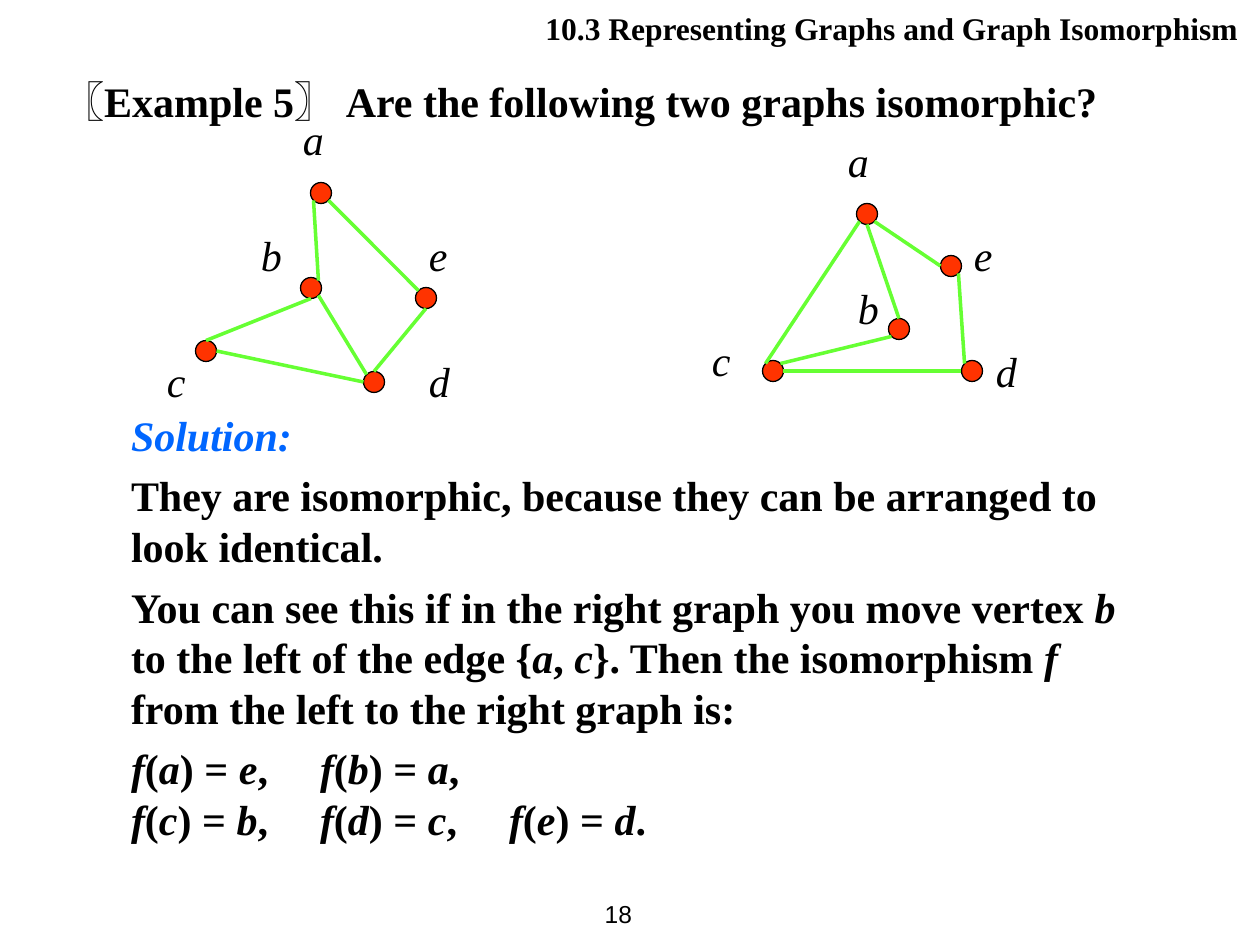
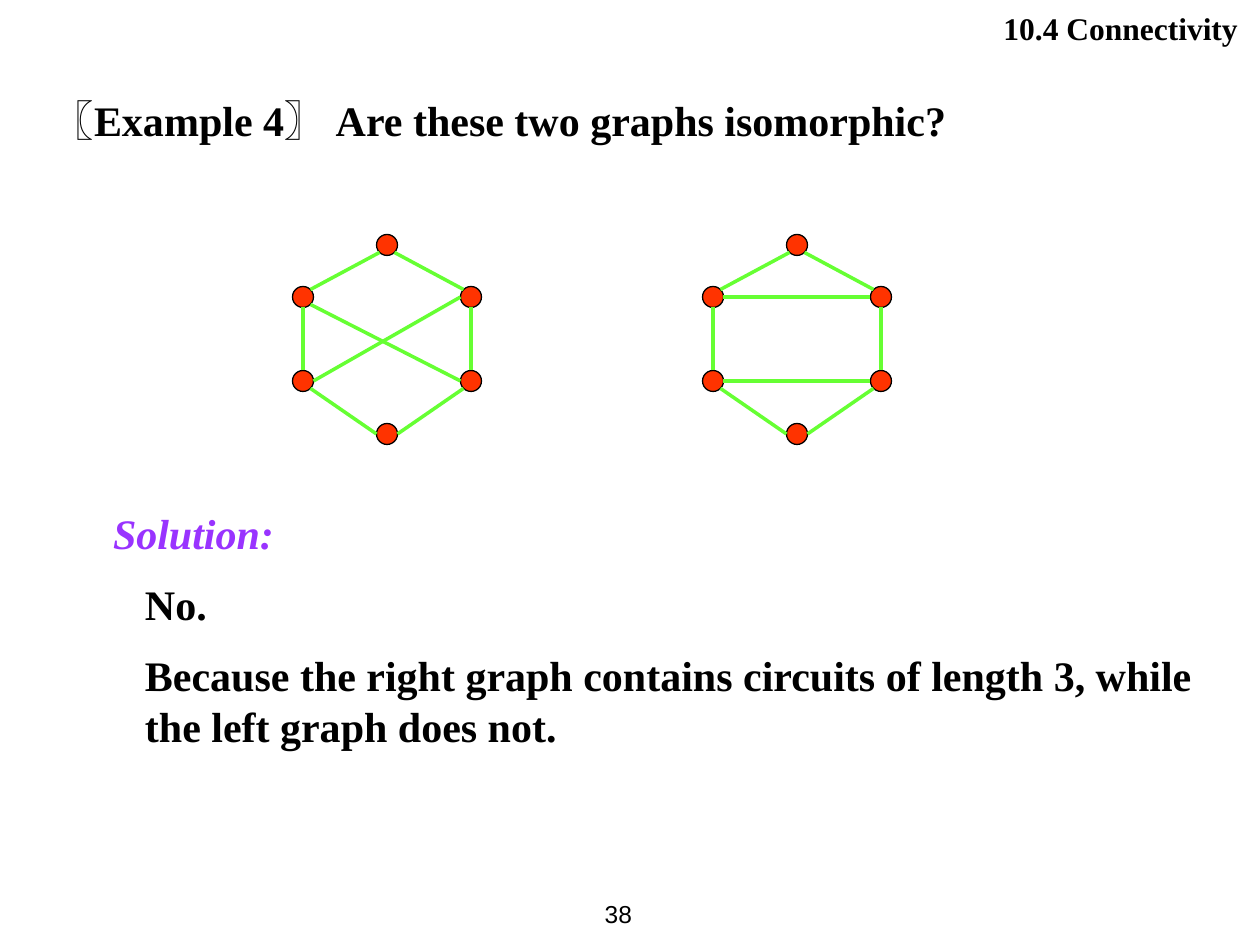
from dataclasses import dataclass

from lxml.etree import SubElement
from pptx import Presentation
from pptx.dml.color import RGBColor
from pptx.enum.shapes import MSO_CONNECTOR, MSO_SHAPE
from pptx.enum.text import MSO_ANCHOR, MSO_AUTO_SIZE, PP_ALIGN
from pptx.oxml.ns import qn
from pptx.util import Emu, Pt

PX_PER_INCH = 126
DIAGONAL = 0.71
SITES = {
    "N": (0, -1), "S": (0, 1), "W": (-1, 0), "E": (1, 0),
    "NW": (-DIAGONAL, -DIAGONAL), "NE": (DIAGONAL, -DIAGONAL),
    "SW": (-DIAGONAL, DIAGONAL), "SE": (DIAGONAL, DIAGONAL),
}


@dataclass(frozen=True)
class Theme:
    """Colours, fonts and type sizes of the lecture."""
    ink: str = "000000"
    paper: str = "FFFFFF"
    vertex: str = "FF3300"
    edge: str = "66FF33"
    blue: str = "0066FF"
    purple: str = "9933FF"
    serif: str = "Times New Roman"
    sans: str = "Arial"
    text_size: int = 24
    section_size: int = 18
    number_size: int = 14
    vertex_line: float = 0.75
    edge_line: float = 2
    radius: float = 10.5


def px(length):
    """Turn pixels into EMU."""
    return Emu(round(length * 914400 / PX_PER_INCH))


class LectureDeck:
    """Hold the style and the current slide."""

    def __init__(self, theme):
        """Open an empty presentation of the lecture's size."""
        self.theme = theme
        self.presentation = Presentation()
        self.presentation.slide_width = px(1260)
        self.presentation.slide_height = px(945)
        self.slide = None

    def start_slide(self, section, number):
        """Add a slide with its section line and number."""
        self.slide = self.presentation.slides.add_slide(self.presentation.slide_layouts[1])
        self.slide.background.fill.solid()
        self.slide.background.fill.fore_color.rgb = RGBColor.from_string(self.theme.paper)
        self.text_box((510, 3, 741, 50), section, self.theme.section_size,
                      bold=True, align=PP_ALIGN.RIGHT)
        self.text_box((561, 882, 84, 63), number, self.theme.number_size,
                      font=self.theme.sans, align=PP_ALIGN.RIGHT,
                      anchor=MSO_ANCHOR.MIDDLE, wrap=False)

    def frame(self, shape, box, anchor=MSO_ANCHOR.TOP, wrap=True):
        """Place a text shape and return its text frame."""
        shape.left, shape.top, shape.width, shape.height = map(px, box)
        frame = shape.text_frame
        frame.word_wrap = wrap
        frame.auto_size = MSO_AUTO_SIZE.NONE
        frame.vertical_anchor = anchor
        frame.margin_left = frame.margin_right = px(13)
        frame.margin_top = frame.margin_bottom = px(6)
        return frame

    def add_run(self, paragraph, text, size=None, font=None, color=None,
                bold=False, italic=False):
        """Append one formatted run."""
        run = paragraph.add_run()
        run.text = text
        run.font.size = Pt(size or self.theme.text_size)
        run.font.name = font or self.theme.serif
        run.font.color.rgb = RGBColor.from_string(color or self.theme.ink)
        run.font.bold = bold
        run.font.italic = italic

    def text_box(self, box, text, size=None, align=PP_ALIGN.LEFT,
                 anchor=MSO_ANCHOR.TOP, wrap=True, **style):
        """Add a text box of one run."""
        shape = self.slide.shapes.add_textbox(*map(px, box))
        paragraph = self.frame(shape, box, anchor, wrap).paragraphs[0]
        paragraph.alignment = align
        self.add_run(paragraph, text, size, **style)

    def question(self, left, top, example, text):
        """Fill the title with a bracketed example and its question."""
        frame = self.frame(self.slide.shapes.title, (left, top, 1152, 63))
        paragraph = frame.paragraphs[0]
        paragraph.alignment = PP_ALIGN.LEFT
        sans, serif = self.theme.sans, self.theme.serif
        for piece, font in (("〖", sans), (example, serif), ("〗 ", sans), (text, serif)):
            self.add_run(paragraph, piece, font=font, bold=True)

    def solution(self, box, color, paragraphs, before=6, after=0,
                 heading_indent=0, indent=0, tabs=()):
        """Fill the body; asterisks enclose italic symbols."""
        frame = self.frame(self.slide.placeholders[1], box)
        for index, text in enumerate(["*Solution:*", *paragraphs]):
            paragraph = frame.add_paragraph() if index else frame.paragraphs[0]
            properties = paragraph._p.get_or_add_pPr()
            properties.set("marL", str(px(indent if index else heading_indent)))
            properties.set("indent", "0")
            SubElement(properties, qn("a:buNone"))
            if tabs:
                tab_list = SubElement(properties, qn("a:tabLst"))
                for position in tabs:
                    SubElement(tab_list, qn("a:tab"), pos=str(px(position)), algn="l")
            paragraph.alignment = PP_ALIGN.LEFT
            paragraph.space_before = Pt(before if index else 0)
            paragraph.space_after = Pt(after)
            self.marked_text(paragraph, text, self.theme.ink if index else color)

    def marked_text(self, paragraph, text, color):
        """Add lines of upright and italic runs."""
        for number, line in enumerate(text.split("\n")):
            if number:
                paragraph.add_line_break()
            for index, piece in enumerate(line.split("*")):
                if piece:
                    self.add_run(paragraph, piece, color=color, bold=True,
                                 italic=index % 2 == 1)

    def vertex(self, center):
        """Draw a round vertex."""
        radius = self.theme.radius
        shape = self.slide.shapes.add_shape(
            MSO_SHAPE.FLOWCHART_CONNECTOR, px(center[0] - radius),
            px(center[1] - radius), px(2 * radius), px(2 * radius))
        shape.shadow.inherit = False
        shape.fill.solid()
        shape.fill.fore_color.rgb = RGBColor.from_string(self.theme.vertex)
        shape.line.color.rgb = RGBColor.from_string(self.theme.ink)
        shape.line.width = Pt(self.theme.vertex_line)

    def edge(self, start, start_site, end, end_site):
        """Draw an edge between sites on two vertices."""
        points = [px(middle + self.theme.radius * offset)
                  for center, site in ((start, start_site), (end, end_site))
                  for middle, offset in zip(center, SITES[site])]
        connector = self.slide.shapes.add_connector(MSO_CONNECTOR.STRAIGHT, *points)
        connector.line.color.rgb = RGBColor.from_string(self.theme.edge)
        connector.line.width = Pt(self.theme.edge_line)
        SubElement(connector._element.spPr, qn("a:effectLst"))

    def graph(self, vertices, edges, labels=None):
        """Draw vertices, their labels and the edges."""
        for center in vertices.values():
            self.vertex(center)
        for name, corner in (labels or {}).items():
            self.text_box((*corner, 50, 63), name, italic=True)
        for start, start_site, end, end_site in edges:
            self.edge(vertices[start], start_site, vertices[end], end_site)


LEFT_VERTICES = {"a": (321, 193), "b": (311, 288), "c": (206, 351),
                 "d": (374, 382), "e": (426, 298)}
LEFT_LABELS = {"a": (290, 108), "b": (248, 224), "c": (154, 350),
               "d": (416, 350), "e": (416, 224)}
LEFT_EDGES = [("d", "N", "e", "S"), ("d", "W", "c", "E"), ("c", "N", "b", "S"),
              ("b", "NE", "a", "SW"), ("a", "SE", "e", "NW"), ("b", "SE", "d", "NW")]

RIGHT_VERTICES = {"a": (867, 214), "b": (899, 329), "c": (773, 371),
                  "d": (972, 371), "e": (951, 266)}
RIGHT_LABELS = {"a": (835, 130), "b": (845, 277), "c": (699, 329),
                "d": (983, 340), "e": (961, 224)}
RIGHT_EDGES = [("c", "E", "d", "W"), ("c", "NE", "b", "SW"), ("b", "N", "a", "S"),
               ("a", "SE", "e", "W"), ("e", "SE", "d", "NW"), ("a", "SW", "c", "NW")]

HEXAGON_EDGES = [
    ("upper left", "NE", "top", "SW"), ("upper right", "NW", "top", "SE"),
    ("lower left", "N", "upper left", "S"), ("lower right", "N", "upper right", "S"),
    ("lower left", "SE", "bottom", "W"), ("bottom", "E", "lower right", "SW"),
]
CROSSING_EDGES = [("upper left", "SE", "lower right", "W"),
                  ("lower left", "E", "upper right", "W")]
LEVEL_EDGES = [("upper left", "E", "upper right", "W"),
               ("lower left", "E", "lower right", "W")]


def hexagon(middle):
    """Return six vertices around a vertical axis."""
    left, right = middle - 84, middle + 84
    return {"top": (middle, 245), "bottom": (middle, 434),
            "upper left": (left, 297), "upper right": (right, 297),
            "lower left": (left, 381), "lower right": (right, 381)}


def isomorphic_slide(deck):
    """Build the slide on two isomorphic graphs."""
    deck.start_slide("10.3 Representing Graphs and Graph Isomorphism", "18")
    deck.question(49, 69, "Example 5", "Are the following two graphs isomorphic?")
    deck.solution((118, 403, 1012, 472), deck.theme.blue, [
        "They are isomorphic, because they can be arranged to look identical.",
        "You can see this if in the right graph you move vertex *b* to the left of "
        "the edge {*a*, *c*}. Then the isomorphism *f* from the left to the right graph is:",
        "*f*(*a*) = *e*,\t*f*(*b*) = *a*,\n"
        "*f*(*c*) = *b*,\t*f*(*d*) = *c*,\t*f*(*e*) = *d*.",
    ], tabs=(158, 316))
    deck.graph(LEFT_VERTICES, LEFT_EDGES, LEFT_LABELS)
    deck.graph(RIGHT_VERTICES, RIGHT_EDGES, RIGHT_LABELS)


def circuits_slide(deck):
    """Build the slide on two graphs told apart by circuits."""
    deck.start_slide("10.4 Connectivity", "38")
    deck.question(39, 88, "Example 4", "Are these two graphs isomorphic?")
    deck.graph(hexagon(387), HEXAGON_EDGES + CROSSING_EDGES)
    deck.graph(hexagon(797), HEXAGON_EDGES + LEVEL_EDGES)
    deck.solution((69, 501, 1152, 257), deck.theme.purple, [
        "No.",
        "Because the right graph contains circuits of length 3, "
        "while the left graph does not.",
    ], after=6, heading_indent=31, indent=63)


def main():
    """Build and save the presentation."""
    deck = LectureDeck(Theme())
    isomorphic_slide(deck)
    circuits_slide(deck)
    deck.presentation.save("out.pptx")


if __name__ == "__main__":
    main()
